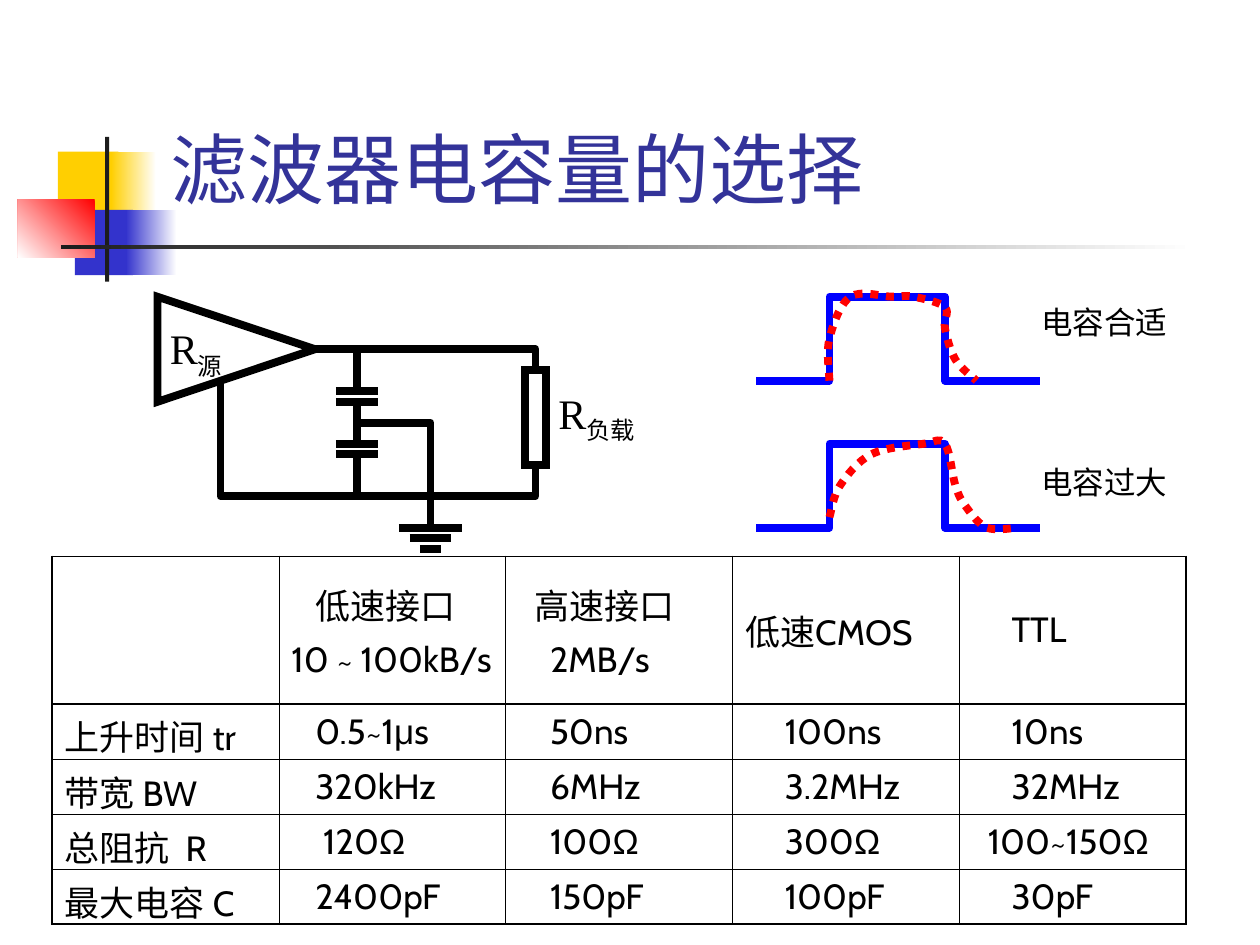
from lxml.etree import SubElement
from pptx import Presentation
from pptx.dml.color import RGBColor
from pptx.enum.dml import MSO_LINE
from pptx.enum.shapes import MSO_CONNECTOR, MSO_SHAPE
from pptx.enum.text import MSO_ANCHOR
from pptx.oxml.ns import qn
from pptx.util import Cm, Pt

BLACK = RGBColor(0x00, 0x00, 0x00)
WHITE = RGBColor(0xFF, 0xFF, 0xFF)
CHARCOAL = RGBColor(0x1C, 0x1C, 0x1C)
YELLOW = RGBColor(0xFF, 0xCF, 0x01)
INDIGO = RGBColor(0x33, 0x33, 0xCC)
TITLE_BLUE = RGBColor(0x33, 0x33, 0x99)
RED = RGBColor(0xFF, 0x00, 0x00)
BLUE = RGBColor(0x00, 0x00, 0xFF)

SANS, SERIF, SYMBOL = "Cabin", "Times New Roman", "Arial"
GRID = 2.54 / 12
ORIGIN_Y = 7.04
SPACE_WIDTH = 0.16

ORNAMENTS = [
    (1.17, 3.06, 1.22, 1.32, YELLOW, None, 0),
    (2.24, 3.06, 0.91, 1.32, WHITE, YELLOW, 180),
    (1.51, 4.23, 1.17, 1.32, INDIGO, None, 0),
    (2.54, 4.23, 1.02, 1.32, WHITE, INDIGO, 180),
    (0.36, 4.02, 1.55, 1.17, RED, WHITE, 225),
    (2.12, 2.76, 0.08, 2.92, CHARCOAL, None, 0),
    (1.23, 4.94, 22.86, 0.09, WHITE, CHARCOAL, 180),
]
WIRES = [
    [(30, 0), (51, 0), (51, 2)],
    [(21, 3), (21, 14), (51, 14), (51, 11)],
    [(34, 7), (41, 7), (41, 17)],
]
CAPACITOR_LEADS = [(0, 4), (5, 9), (10, 14)]
CAPACITOR_PLATES = [4, 5, 9, 10]
GROUND_BARS = [(3, 17), (2, 18), (1, 19)]
PULSE_BASES = [3, 17]
SUITABLE_CURVE = [(79, 3), (79, -1), (81, -5), (85, -5), (87, -5),
                  (90, -4), (90, -2), (91, 1), (93, 3)]
EXCESS_CURVE = [(79, 16), (80, 13), (83, 10), (88, 9), (90, 9),
                (91, 13), (92, 15), (94, 17), (97, 17)]
HEADERS = [
    [],
    [(3, "低速接口"), (0, "10 ~ 100kB/s")],
    [(2, "高速接口"), (4, "2MB/s")],
    [(0, "低速CMOS")],
    [(5, "TTL")],
]
VALUES = [
    [(0, "上升时间 tr"), (3, "0.5~1μs"), (4, "50ns"), (5, "100ns"), (5, "10ns")],
    [(0, "带宽 BW"), (3, "320kHz"), (4, "6MHz"), (5, "3.2MHz"), (5, "32MHz")],
    [(0, "总阻抗  R"), (4, "120Ω"), (4, "100Ω"), (5, "300Ω"), (2, "100~150Ω")],
    [(0, "最大电容 C"), (3, "2400pF"), (4, "150pF"), (5, "100pF"), (5, "30pF")],
]


def grid_point(column, row):
    """Turn a drawing grid position into slide lengths."""
    return Cm(column * GRID), Cm(ORIGIN_Y + row * GRID)


def bezier_points(nodes):
    """List the nodes with the Bezier handles of a smooth curve between them."""
    padded = [nodes[0], *nodes, nodes[-1]]
    points = [nodes[0]]
    for a, b, c, d in zip(padded, padded[1:], padded[2:], padded[3:]):
        points.append(tuple(q + (r - p) / 6 for p, q, r in zip(a, b, c)))
        points.append(tuple(r - (s - q) / 6 for q, r, s in zip(b, c, d)))
        points.append(c)
    return points


def symbol_runs(text):
    """Split text into runs, giving Greek symbols their own font."""
    for symbol in "μΩ":
        if symbol in text:
            before, after = text.split(symbol)
            return [(before, SANS), (symbol, SYMBOL)] + ([(after, SANS)] if after else [])
    return [(text, SANS)]


class SlideBuilder:
    """Hold the drawing style and the current slide."""

    def __init__(self, slide, line_width=Pt(4.5)):
        self.slide = slide
        self.line_width = line_width

    def outline(self, shape, color):
        shape.shadow.inherit = False
        shape.fill.background()
        shape.line.color.rgb = color
        shape.line.width = self.line_width

    def run(self, paragraph, text, font, size, color=BLACK, subscript=False):
        run = paragraph.add_run()
        run.text = text
        run.font.name, run.font.size = font, Pt(size)
        run.font.color.rgb = color
        if subscript:
            run.font._element.set("baseline", "-25000")

    def ornament(self, left, top, width, height, start, end, angle):
        shape = self.slide.shapes.add_shape(
            MSO_SHAPE.RECTANGLE, Cm(left), Cm(top), Cm(width), Cm(height))
        shape.shadow.inherit = False
        shape.line.fill.background()
        if end is None:
            shape.fill.solid()
            shape.fill.fore_color.rgb = start
            return
        shape.fill.gradient()
        shape.fill.gradient_angle = angle
        for stop, color in zip(shape.fill.gradient_stops, (start, end)):
            stop.color.rgb = color

    def component(self, kind, column, row, width, height, rotation=0):
        shape = self.slide.shapes.add_shape(
            kind, *grid_point(column, row), Cm(width * GRID), Cm(height * GRID))
        shape.rotation = rotation
        self.outline(shape, BLACK)
        SubElement(shape.line._get_or_add_ln(), qn("a:miter"), lim="800000")

    def path_line(self, points, color):
        start, *rest = [grid_point(*point) for point in points]
        builder = self.slide.shapes.build_freeform(*start, scale=1.0)
        builder.add_line_segments(rest, close=False)
        shape = builder.convert_to_shape()
        self.outline(shape, color)
        return shape

    def dotted_curve(self, nodes, color):
        shape = self.path_line(bezier_points(nodes), color)
        shape.line.dash_style = MSO_LINE.ROUND_DOT
        outline = next(shape._element.iter(qn("a:path")))
        segments = outline.findall(qn("a:lnTo"))
        for first in range(0, len(segments), 3):
            curve = SubElement(outline, qn("a:cubicBezTo"))
            for segment in segments[first:first + 3]:
                curve.append(segment[0])
                outline.remove(segment)

    def line(self, start, end):
        connector = self.slide.shapes.add_connector(
            MSO_CONNECTOR.STRAIGHT, *grid_point(*start), *grid_point(*end))
        connector.line.color.rgb = BLACK
        connector.line.width = self.line_width
        SubElement(connector._element.spPr, qn("a:effectLst"))

    def text_box(self, left, top, width, height):
        frame = self.slide.shapes.add_textbox(left, top, width, height).text_frame
        frame.word_wrap = True
        return frame

    def title(self, text):
        frame = self.text_box(Cm(3.19), Cm(1.25), Cm(21.64), Cm(3.18))
        frame.vertical_anchor = MSO_ANCHOR.BOTTOM
        self.run(frame.paragraphs[0], text, SANS, 44, TITLE_BLUE)

    def label(self, column, row, width, text, size, subscript=""):
        frame = self.text_box(*grid_point(column, row), Cm(width * GRID), Cm(size * 0.06))
        self.run(frame.paragraphs[0], text, SERIF, size)
        if subscript:
            self.run(frame.paragraphs[0], subscript, SERIF, size, subscript=True)

    def cell(self, cell, lines, widths):
        cell.vertical_anchor = MSO_ANCHOR.MIDDLE
        properties = cell._tc.get_or_add_tcPr()
        for side, width in zip("LRTB", widths):
            border = SubElement(properties, qn(f"a:ln{side}"), w=str(Pt(width)))
            fill = SubElement(border, qn("a:solidFill"))
            SubElement(fill, qn("a:srgbClr"), val=str(BLACK))
        cell.fill.background()
        for index, (spaces, text) in enumerate(lines):
            frame = cell.text_frame
            paragraph = frame.add_paragraph() if index else frame.paragraphs[0]
            if index:
                paragraph.space_before = Pt(5)
            settings = paragraph._p.get_or_add_pPr()
            settings.set("marL", str(Cm(spaces * SPACE_WIDTH)))
            settings.set("indent", "0")
            for part, font in symbol_runs(text):
                self.run(paragraph, part, font, 20)

    def table(self, rows):
        count, columns = len(rows), len(rows[0])
        table = self.slide.shapes.add_table(
            count, columns, Cm(1.05), Cm(11.22), Cm(22.86), Cm(7.41)).table
        table.first_row = table.horz_banding = False
        for column in table.columns:
            column.width = Cm(22.86 / columns)
        for r, row in enumerate(rows):
            table.rows[r].height = Cm(1.11 if r else 2.97)
            for c, lines in enumerate(row):
                thick = (c == 0, c == columns - 1, r < 2, r in (0, count - 1))
                self.cell(table.cell(r, c), lines, [1.08 if t else 0.45 for t in thick])


def main():
    presentation = Presentation()
    presentation.slide_width, presentation.slide_height = Cm(25.4), Cm(19.05)
    builder = SlideBuilder(presentation.slides.add_slide(presentation.slide_layouts[6]))
    for ornament in ORNAMENTS:
        builder.ornament(*ornament)
    builder.title("滤波器电容量的选择")
    builder.component(MSO_SHAPE.ISOSCELES_TRIANGLE, 17.5, -7.5, 10, 15, rotation=90)
    builder.component(MSO_SHAPE.RECTANGLE, 50, 2, 2, 9)
    for wire in WIRES:
        builder.path_line(wire, BLACK)
    for top, bottom in CAPACITOR_LEADS:
        builder.line((34, top), (34, bottom))
    for row in CAPACITOR_PLATES:
        builder.line((32, row), (36, row))
    for half, row in GROUND_BARS:
        builder.line((41 - half, row), (41 + half, row))
    builder.label(52, 3.05, 14, "R", 24, "负载")
    builder.label(15, -3.1, 10, "R", 24, "源")
    for base in PULSE_BASES:
        top = base - 8
        builder.path_line([(72, base), (79, base), (79, top), (90, top),
                           (90, base), (99, base)], BLUE)
    for nodes in (SUITABLE_CURVE, EXCESS_CURVE):
        builder.dotted_curve(nodes, RED)
    builder.label(98, -5, 16, "电容合适", 18)
    builder.label(98, 10.25, 16, "电容过大", 18)
    builder.table([HEADERS] + [[[entry] for entry in row] for row in VALUES])
    presentation.save("out.pptx")


if __name__ == "__main__":
    main()
